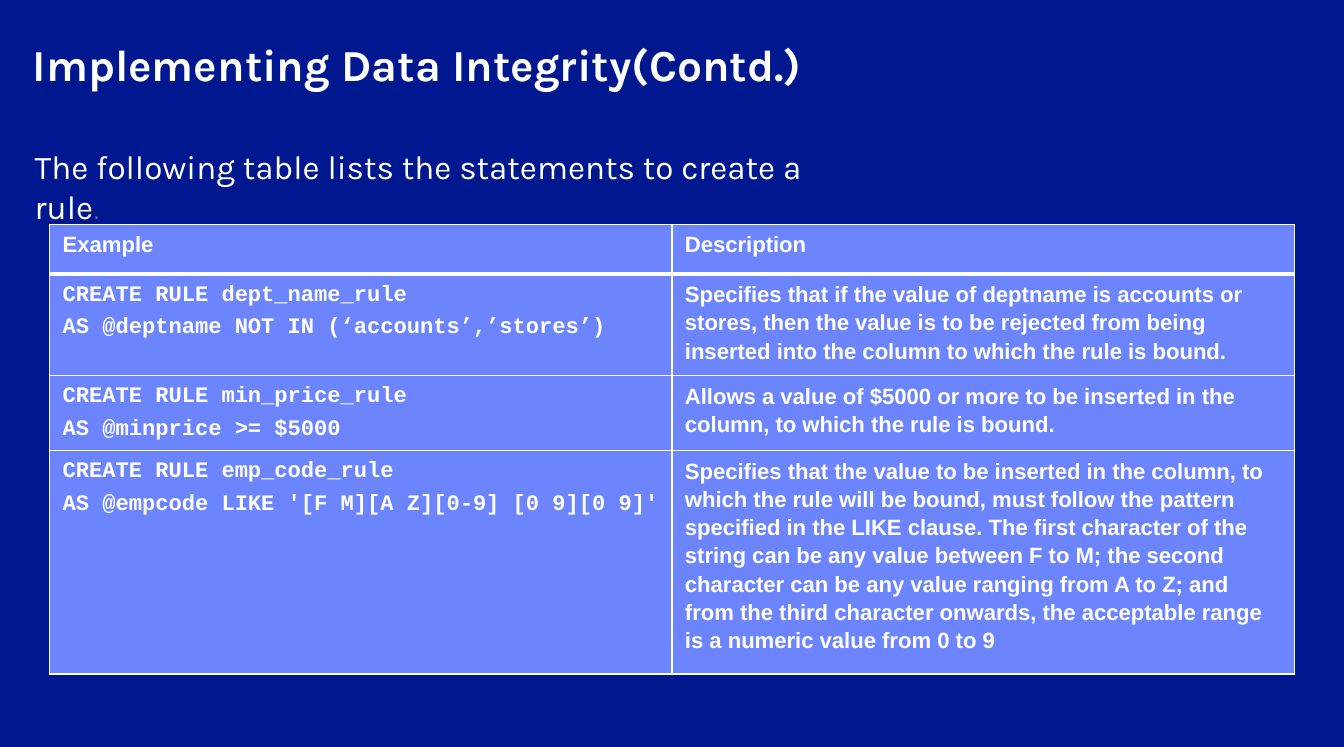
from dataclasses import dataclass

from lxml import etree
from pptx import Presentation
from pptx.dml.color import RGBColor
from pptx.enum.text import MSO_AUTO_SIZE
from pptx.oxml.ns import qn
from pptx.util import Inches, Pt

NAVY = RGBColor(0x00, 0x18, 0x8F)
PERIWINKLE = RGBColor(0x6C, 0x85, 0xFF)
WHITE = RGBColor(0xFF, 0xFF, 0xFF)
PURPLE = RGBColor(0x9B, 0x4F, 0x96)
GROW = MSO_AUTO_SIZE.SHAPE_TO_FIT_TEXT


@dataclass
class Span:
    text: str
    size: float
    font: str
    color: RGBColor = WHITE
    bold: bool = False


@dataclass
class Rule:
    height: float
    example: str
    description: str
    example_font: str = "Courier New"
    bottom_line: float = 1


RULES = [
    Rule(0.5, "Example", "Description", "Arial", 3),
    Rule(
        0.98,
        "CREATE RULE dept_name_rule\nAS @deptname NOT IN (‘accounts’,’stores’)",
        "Specifies that if the value of deptname is accounts or stores, then the value "
        "is to be rejected from being inserted into the column to which the rule is bound.",
    ),
    Rule(
        0.74,
        "CREATE RULE min_price_rule\nAS @minprice >= $5000",
        "Allows a value of $5000 or more to be inserted in the column, "
        "to which the rule is bound.",
    ),
    Rule(
        2.11,
        "CREATE RULE emp_code_rule\nAS @empcode LIKE '[F M][A Z][0-9] [0 9][0 9]'",
        "Specifies that the value to be inserted in the column, to which the rule will be "
        "bound, must follow the pattern specified in the LIKE clause. The first character "
        "of the string can be any value between F to M; the second character can be any "
        "value ranging from A to Z; and from the third character onwards, the acceptable "
        "range is a numeric value from 0 to 9",
    ),
]


def style_run(run, size: float, font: str, color: RGBColor, bold: bool) -> None:
    run.font.size = Pt(size)
    run.font.name = font
    run.font.color.rgb = color
    run.font.bold = bold


def add_text(page, left: float, top: float, width: float, height: float,
             spans: list[Span]) -> None:
    box = page.shapes.add_textbox(Inches(left), Inches(top), Inches(width), Inches(height))
    box.text_frame.word_wrap = True
    box.text_frame.auto_size = GROW
    para = box.text_frame.paragraphs[0]
    for span in spans:
        run = para.add_run()
        run.text = span.text
        style_run(run, span.size, span.font, span.color, span.bold)


def set_border(cell, side: str, width: float) -> None:
    properties = cell._tc.get_or_add_tcPr()
    line = etree.SubElement(properties, qn(f"a:ln{side}"), w=str(Pt(width)))
    fill = etree.SubElement(line, qn("a:solidFill"))
    etree.SubElement(fill, qn("a:srgbClr"), val=str(WHITE))


def fill_cell(cell, text: str, font: str, top_line: float, bottom_line: float) -> None:
    cell.text_frame.text = text
    cell.margin_left = cell.margin_right = Inches(0.13)
    cell.margin_top = cell.margin_bottom = Inches(0.05)
    for para in cell.text_frame.paragraphs:
        para.line_spacing = 1.15
        para.space_before = Pt(2.9)
        for run in para.runs:
            style_run(run, 16, font, WHITE, True)
    for side, width in (("L", 1), ("R", 1), ("T", top_line), ("B", bottom_line)):
        set_border(cell, side, width)
    cell.fill.solid()
    cell.fill.fore_color.rgb = PERIWINKLE


def add_rule_table(page) -> None:
    height = sum(rule.height for rule in RULES)
    frame = page.shapes.add_table(
        len(RULES), 2, Inches(0.5), Inches(2.25), Inches(12.5), Inches(height))
    table = frame.table
    top_line = 1
    for index, rule in enumerate(RULES):
        table.rows[index].height = Inches(rule.height)
        fill_cell(table.cell(index, 0), rule.example, rule.example_font,
                  top_line, rule.bottom_line)
        fill_cell(table.cell(index, 1), rule.description, "Arial",
                  top_line, rule.bottom_line)
        top_line = rule.bottom_line


def main() -> None:
    deck = Presentation()
    deck.slide_width = Inches(13.5)
    deck.slide_height = Inches(7.5)
    page = deck.slides.add_slide(deck.slide_layouts[6])
    page.background.fill.solid()
    page.background.fill.fore_color.rgb = NAVY

    add_text(page, 0.25, 1.42, 8.39, 0.5, [
        Span("The following table lists the statements to create a rule", 24, "Karla"),
        Span(".", 18, "Arial", PURPLE),
    ])
    add_text(page, 0.23, 0.33, 12.94, 0.64, [
        Span("Implementing Data Integrity(Contd.)", 32, "Karla", bold=True),
    ])
    add_rule_table(page)
    deck.save("out.pptx")


if __name__ == "__main__":
    main()
